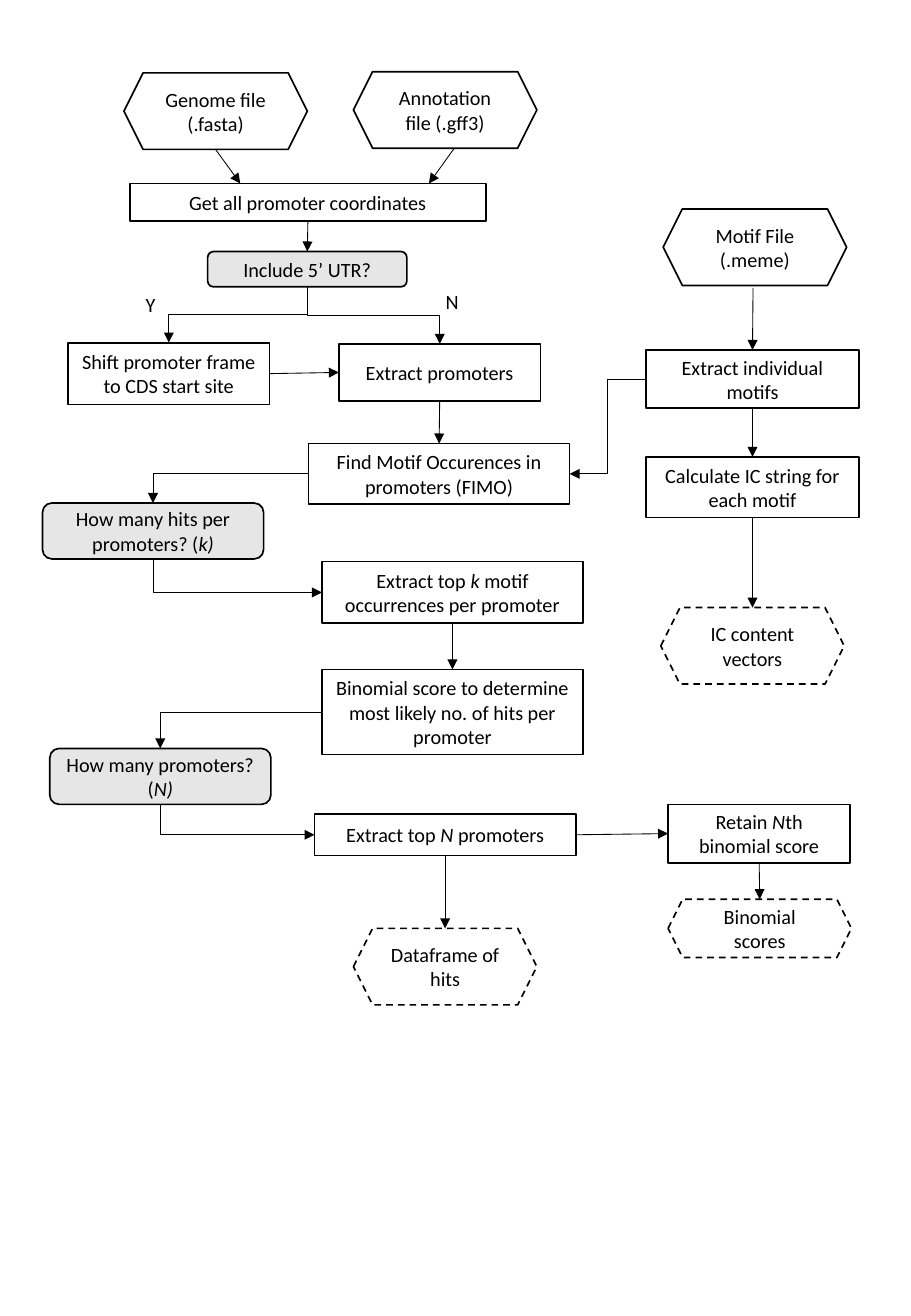
from pptx import Presentation
from pptx.dml.color import RGBColor
from pptx.enum.dml import MSO_LINE
from pptx.enum.shapes import MSO_CONNECTOR, MSO_SHAPE
from pptx.enum.text import MSO_ANCHOR, MSO_AUTO_SIZE, PP_ALIGN
from pptx.oxml.ns import qn
from pptx.oxml.xmlchemy import OxmlElement
from pptx.util import Inches, Pt

DASH = MSO_LINE.DASH
STRAIGHT, ELBOW = MSO_CONNECTOR.STRAIGHT, MSO_CONNECTOR.ELBOW
MIDDLE, CENTER, LEFT = MSO_ANCHOR.MIDDLE, PP_ALIGN.CENTER, PP_ALIGN.LEFT
FIT_SHAPE = MSO_AUTO_SIZE.SHAPE_TO_FIT_TEXT
BLACK = RGBColor(0x00, 0x00, 0x00)
WHITE = RGBColor(0xFF, 0xFF, 0xFF)
GREY = RGBColor(0xE7, 0xE6, 0xE6)

PAGE_WIDTH, PAGE_HEIGHT = 7.5, 10.83
FONT, FONT_SIZE = "Calibri", 12

# kind: (preset shape, fill, dash)
KINDS = {
    "input": (MSO_SHAPE.HEXAGON, WHITE, None),
    "output": (MSO_SHAPE.HEXAGON, WHITE, DASH),
    "step": (MSO_SHAPE.RECTANGLE, WHITE, None),
    "question": (MSO_SHAPE.ROUNDED_RECTANGLE, GREY, None),
}

# name: (kind, text with *italics*, left, top, width, height) in inches
NODES = {
    "genome": ("input", "Genome file (.fasta)", 1.02, 0.6, 1.51, 0.63),
    "annotation": ("input", "Annotation file (.gff3)", 2.91, 0.59, 1.51, 0.63),
    "coordinates": ("step", "Get all promoter coordinates", 1.07, 1.51, 2.93, 0.31),
    "utr": ("question", "Include 5’ UTR?", 1.71, 2.07, 1.64, 0.29),
    "shift": ("step", "Shift promoter frame to CDS start site", 0.56, 2.82, 1.66, 0.51),
    "promoters": ("step", "Extract promoters", 2.79, 2.83, 1.66, 0.47),
    "motif file": ("input", "Motif File (.meme)", 5.46, 1.72, 1.51, 0.63),
    "motifs": ("step", "Extract individual motifs", 5.32, 2.88, 1.75, 0.48),
    "ic string": ("step", "Calculate IC string for each motif", 5.32, 3.76, 1.75, 0.5),
    "ic vectors": ("output", "IC content vectors", 5.44, 5, 1.51, 0.63),
    "fimo": ("step", "Find Motif Occurences in promoters (FIMO)", 2.54, 3.65, 2.15, 0.5),
    "hit count": ("question", "How many hits per promoters? (*k)*", 0.35, 4.14, 1.82, 0.46),
    "top hits": ("step", "Extract top *k* motif occurrences per promoter",
                 2.65, 4.62, 2.15, 0.51),
    "binomial": ("step", "Binomial score to determine most likely no. of hits per promoter",
                 2.65, 5.51, 2.15, 0.7),
    "promoter count": ("question", "How many promoters? (*N)*", 0.41, 6.16, 1.82, 0.46),
    "top promoters": ("step", "Extract top *N* promoters", 2.59, 6.7, 2.15, 0.34),
    "retain": ("step", "Retain *N*th binomial score", 5.5, 6.62, 1.5, 0.48),
    "scores": ("output", "Binomial scores", 5.5, 7.4, 1.51, 0.48),
    "dataframe": ("output", "Dataframe of hits", 2.91, 7.64, 1.51, 0.63),
}

# text, left, top, width, height
BRANCH_LABELS = [("Y", 1.1, 2.36, 0.28, 0.3), ("N", 3.57, 2.33, 0.31, 0.3)]

# Places on a node, as shares of its width and height
TOP, BOTTOM, WEST, EAST = (0.5, 0), (0.5, 1), (0, 0.5), (1, 0.5)

# from, place, to, place
STRAIGHT_ARROWS = [
    ("genome", BOTTOM, "coordinates", (0.31, 0)),
    ("annotation", (0.55, 1), "coordinates", (0.84, 0)),
    ("coordinates", BOTTOM, "utr", TOP),
    ("shift", EAST, "promoters", WEST),
    ("promoters", BOTTOM, "fimo", TOP),
    ("motif file", (0.49, 1.03), "motifs", TOP),
    ("motifs", BOTTOM, "ic string", TOP),
    ("ic string", BOTTOM, "ic vectors", TOP),
    ("top hits", BOTTOM, "binomial", TOP),
    ("top promoters", BOTTOM, "dataframe", TOP),
    ("top promoters", EAST, "retain", WEST),
    ("retain", BOTTOM, "scores", TOP),
]
BENT_ARROWS = [
    ("utr", BOTTOM, "shift", TOP),
    ("utr", BOTTOM, "promoters", TOP),
    ("motifs", WEST, "fimo", EAST),
    ("fimo", WEST, "hit count", TOP),
    ("hit count", BOTTOM, "top hits", WEST),
    ("binomial", WEST, "promoter count", TOP),
    ("promoter count", BOTTOM, "top promoters", WEST),
]


def write_text(box, text, alignment):
    """Write one paragraph, with the parts between asterisks in italics."""
    para = box.text_frame.paragraphs[0]
    para.alignment = alignment
    para.font.name, para.font.size = FONT, Pt(FONT_SIZE)
    para.font.color.rgb = BLACK
    for index, part in enumerate(text.split("*")):
        if part:
            span = para.add_run()
            span.text = part
            if index % 2:
                span.font.italic = True


def add_node(page, kind, text, *frame):
    """Add one outlined step of the flow chart."""
    preset, fill, dash = KINDS[kind]
    node = page.shapes.add_shape(preset, *map(Inches, frame))
    node.shadow.inherit = False
    node.fill.solid()
    node.fill.fore_color.rgb = fill
    node.line.color.rgb = BLACK
    node.line.width = Pt(1)
    if dash:
        node.line.dash_style = dash
    node.text_frame.word_wrap = True
    node.text_frame.vertical_anchor = MIDDLE
    write_text(node, text, CENTER)


def add_branch_label(page, text, *frame):
    """Add the answer beside one branch."""
    label = page.shapes.add_textbox(*map(Inches, frame))
    label.text_frame.word_wrap = False
    label.text_frame.auto_size = FIT_SHAPE
    write_text(label, text, LEFT)


def locate(name, place):
    """Return the point at a place on a node."""
    left, top, width, height = NODES[name][2:]
    return left + place[0] * width, top + place[1] * height


def add_arrow(page, kind, start, end, rotation=0):
    """Add a thin connector with a triangle at its end."""
    arrow = page.shapes.add_connector(kind, *map(Inches, start + end))
    arrow.line.color.rgb = BLACK
    arrow.line.width = Pt(0.5)
    properties = arrow._element.spPr
    head = OxmlElement("a:tailEnd")
    head.set("type", "triangle")
    properties.find(qn("a:ln")).append(head)
    properties.append(OxmlElement("a:effectLst"))
    if rotation:
        properties.find(qn("a:xfrm")).set("rot", str(rotation * 60000))
    return arrow


def add_bent_arrow(page, source, exit_place, target, entry_place):
    """Add an elbow; one that leaves downwards is a sideways elbow, turned."""
    start, end = locate(source, exit_place), locate(target, entry_place)
    one_bend = (exit_place in (TOP, BOTTOM)) != (entry_place in (TOP, BOTTOM))
    rotation = 0
    if exit_place == BOTTOM:
        middle_x, middle_y = (start[0] + end[0]) / 2, (start[1] + end[1]) / 2
        goes_right = end[0] > start[0]
        rotation = 270 if goes_right else 90
        reach = (end[1] - start[1]) / 2 * (-1 if goes_right else 1)
        rise = abs(end[0] - start[0]) / 2
        start = middle_x - reach, middle_y - rise
        end = middle_x + reach, middle_y + rise
    arrow = add_arrow(page, ELBOW, start, end, rotation)
    if one_bend:
        arrow._element.spPr.find(qn("a:prstGeom")).set("prst", "bentConnector2")


deck = Presentation()
deck.slide_width, deck.slide_height = Inches(PAGE_WIDTH), Inches(PAGE_HEIGHT)
page = deck.slides.add_slide(deck.slide_layouts[6])
for node in NODES.values():
    add_node(page, *node)
for label in BRANCH_LABELS:
    add_branch_label(page, *label)
for source, exit_place, target, entry_place in STRAIGHT_ARROWS:
    add_arrow(page, STRAIGHT, locate(source, exit_place), locate(target, entry_place))
for bend in BENT_ARROWS:
    add_bent_arrow(page, *bend)
deck.save("out.pptx")
